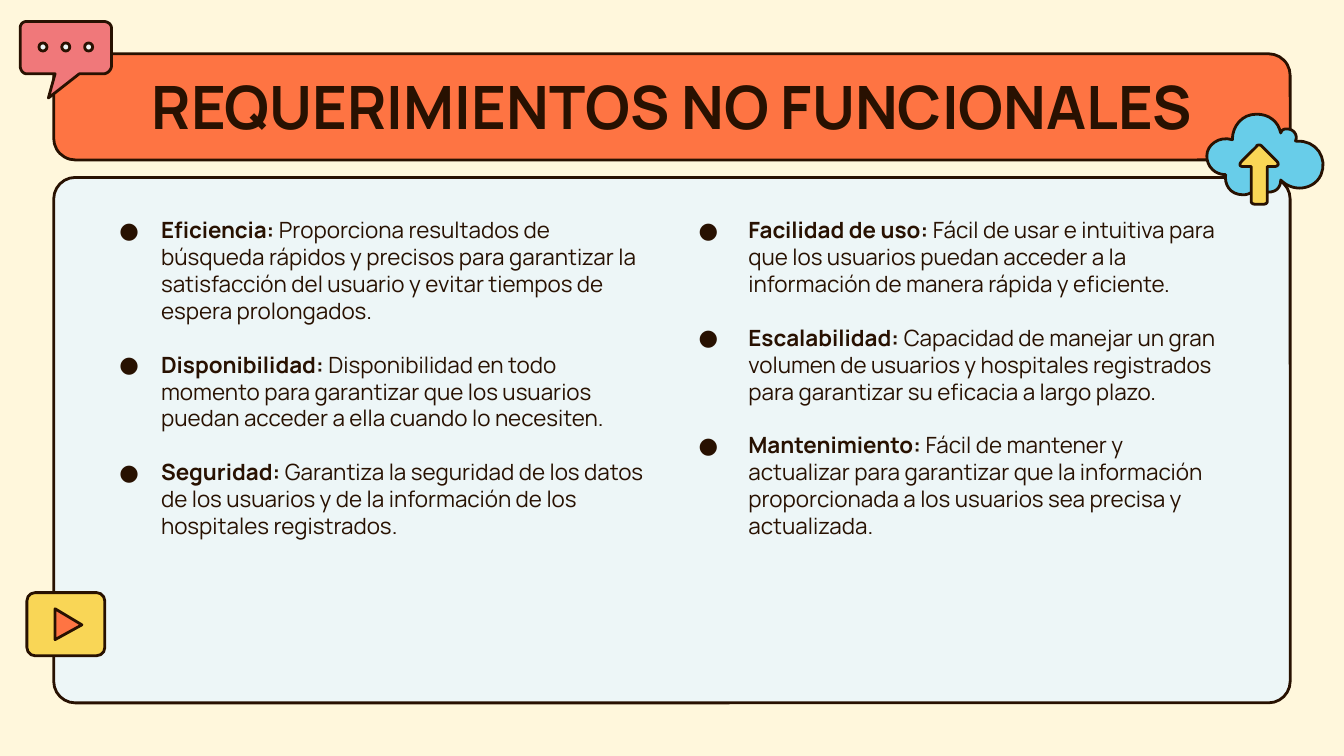
from lxml import etree
from pptx import Presentation
from pptx import util as u
from pptx.dml.color import RGBColor
from pptx.enum import shapes, text
from pptx.oxml.ns import qn


class Theme:
    font = "Manrope"
    ink = RGBColor.from_string("281101")
    cream = RGBColor.from_string("FFF7DC")
    ice = RGBColor.from_string("EDF6F7")
    orange = RGBColor.from_string("FE7443")
    blue = RGBColor.from_string("68CDE9")
    yellow = RGBColor.from_string("F9D656")
    pink = RGBColor.from_string("F0787A")
    title_size, title_leading = u.Pt(32), u.Pt(38.4)
    body_size, body_leading = u.Pt(12), u.Pt(14.4)
    outline = u.Pt(1.5)


def paint(shape, color):
    shape.shadow.inherit = False
    shape.fill.solid()
    shape.fill.fore_color.rgb = color
    shape.line.color.rgb = Theme.ink
    shape.line.width = Theme.outline


def add_outline(start, segments, color, steps=8):
    """Draw a closed outline; two numbers are a line, six a Bézier curve."""
    points = [start]
    for segment in segments:
        if len(segment) == 2:
            points.append(segment)
            continue
        x0, y0 = points[-1]
        x1, y1, x2, y2, x3, y3 = segment
        for step in range(1, steps + 1):
            t = step / steps
            a, b, c, d = (1 - t) ** 3, 3 * t * (1 - t) ** 2, 3 * t * t * (1 - t), t ** 3
            points.append((a * x0 + b * x1 + c * x2 + d * x3,
                           a * y0 + b * y1 + c * y2 + d * y3))
    corners = [(u.Inches(x), u.Inches(y)) for x, y in points]
    builder = slide.shapes.build_freeform(*corners[0])
    builder.add_line_segments(corners[1:], close=True)
    paint(builder.convert_to_shape(), color)


deck = Presentation()
deck.slide_width, deck.slide_height = u.Inches(10), u.Inches(10 * 9 / 16)
slide = deck.slides.add_slide(deck.slide_layouts[5])
slide.background.fill.solid()
slide.background.fill.fore_color.rgb = Theme.cream

# Panel and title banner
for top, height, radius, color in ((1.32, 3.91, 0.041, Theme.ice),
                                   (0.4, 0.79, 0.204, Theme.orange)):
    frame = slide.shapes.add_shape(
        shapes.MSO_SHAPE.ROUNDED_RECTANGLE,
        u.Inches(0.4), u.Inches(top), u.Inches(9.2), u.Inches(height))
    frame.adjustments[0] = radius
    paint(frame, color)

# Title, brought in front of the banner
title = slide.shapes.title
title.left, title.top = u.Inches(0.79), u.Inches(0.42)
title.width, title.height = u.Inches(8.43), u.Inches(0.65)
frame.element.addnext(title.element)
title_text = title.text_frame
title_text.auto_size = text.MSO_AUTO_SIZE.NONE
title_text.vertical_anchor = text.MSO_ANCHOR.TOP
title_text.margin_left = title_text.margin_right = u.Inches(0.1)
title_text.margin_top = title_text.margin_bottom = u.Inches(0.1)
para = title_text.paragraphs[0]
para.alignment = text.PP_ALIGN.CENTER
para.line_spacing = Theme.title_leading
span = para.add_run()
span.text = "REQUERIMIENTOS NO FUNCIONALES"
span.font.name, span.font.size, span.font.bold = Theme.font, Theme.title_size, True
span.font.color.rgb = Theme.ink

# Two columns of requirements: left edge, hanging indent, items
columns = (
    (0.79, 0.31, (
        ("Eficiencia: ", "Proporciona resultados de búsqueda rápidos y precisos para "
         "garantizar la satisfacción del usuario y evitar tiempos de espera prolongados."),
        ("Disponibilidad: ", "Disponibilidad en todo momento para garantizar que los "
         "usuarios puedan acceder a ella cuando lo necesiten."),
        ("Seguridad: ", "Garantiza la seguridad de los datos de los usuarios y de la "
         "información de los hospitales registrados."),
    )),
    (5.1, 0.37, (
        ("Facilidad de uso: ", "Fácil de usar e intuitiva para que los usuarios puedan "
         "acceder a la información de manera rápida y eficiente."),
        ("Escalabilidad: ", "Capacidad de manejar un gran volumen de usuarios y hospitales "
         "registrados para garantizar su eficacia a largo plazo."),
        ("Mantenimiento: ", "Fácil de mantener y actualizar para garantizar que la "
         "información proporcionada a los usuarios sea precisa y actualizada."),
    )),
)
for left, indent, items in columns:
    box = slide.shapes.add_textbox(
        u.Inches(left), u.Inches(1.51), u.Inches(4.12), u.Inches(3.38))
    body = box.text_frame
    body.word_wrap = True
    body.margin_left = body.margin_right = u.Inches(0.1)
    body.margin_top = body.margin_bottom = u.Inches(0.1)
    for index, item in enumerate(items):
        para = body.add_paragraph() if index else body.paragraphs[0]
        para.line_spacing = para.space_after = Theme.body_leading
        props = para._p.get_or_add_pPr()
        props.set("marL", str(u.Inches(indent)))
        props.set("indent", str(-u.Inches(indent)))
        bullet_color = etree.SubElement(props, qn("a:buClr"))
        etree.SubElement(bullet_color, qn("a:srgbClr"), val=str(Theme.ink))
        etree.SubElement(props, qn("a:buFont"), typeface=Theme.font)
        etree.SubElement(props, qn("a:buChar"), char="●")
        for words, bold in zip(item, (True, False)):
            span = para.add_run()
            span.text = words
            span.font.name, span.font.size, span.font.bold = Theme.font, Theme.body_size, bold
            span.font.color.rgb = Theme.ink

# Cloud with upload arrow
add_outline((9.35, 0.85), (
    (9.24, 0.85, 9.17, 0.94, 9.17, 1.04),
    (9.07, 1.01, 8.98, 1.08, 8.98, 1.16),
    (8.98, 1.24, 9.04, 1.3, 9.12, 1.3),
    (9.11, 1.37, 9.15, 1.45, 9.25, 1.45),
    (9.3, 1.45, 9.34, 1.42, 9.36, 1.37),
    (9.38, 1.41, 9.41, 1.43, 9.44, 1.43),
    (9.49, 1.43, 9.53, 1.4, 9.53, 1.34),
    (9.57, 1.38, 9.62, 1.4, 9.67, 1.4),
    (9.73, 1.4, 9.8, 1.37, 9.83, 1.3),
    (9.88, 1.18, 9.8, 1.04, 9.64, 1.05),
    (9.66, 1, 9.62, 0.96, 9.58, 0.96),
    (9.56, 0.96, 9.54, 0.96, 9.53, 0.99),
    (9.51, 0.9, 9.44, 0.85, 9.35, 0.85),
), Theme.blue)
add_outline((9.37, 1.08), (
    (9.36, 1.08, 9.35, 1.08, 9.35, 1.09), (9.24, 1.2),
    (9.22, 1.22, 9.22, 1.24, 9.25, 1.24), (9.31, 1.24), (9.31, 1.5),
    (9.31, 1.51, 9.32, 1.52, 9.34, 1.52), (9.4, 1.52),
    (9.42, 1.52, 9.43, 1.51, 9.43, 1.5), (9.43, 1.24), (9.48, 1.24),
    (9.51, 1.24, 9.52, 1.22, 9.5, 1.2), (9.39, 1.09),
    (9.38, 1.08, 9.38, 1.08, 9.37, 1.08),
), Theme.yellow)

# Speech bubble with three dots
add_outline((0.2, 0.16), (
    (0.17, 0.16, 0.15, 0.18, 0.15, 0.21), (0.15, 0.49),
    (0.15, 0.52, 0.17, 0.55, 0.2, 0.55), (0.41, 0.55), (0.36, 0.73),
    (0.59, 0.55), (0.77, 0.55),
    (0.8, 0.55, 0.83, 0.52, 0.83, 0.49), (0.83, 0.21),
    (0.83, 0.18, 0.8, 0.16, 0.77, 0.16),
), Theme.pink)
for index in range(3):
    dot = slide.shapes.add_shape(
        shapes.MSO_SHAPE.OVAL, u.Inches(0.29 + 0.17 * index), u.Inches(0.32),
        u.Inches(0.06), u.Inches(0.06))
    paint(dot, Theme.ice)

# Play button
button = slide.shapes.add_shape(
    shapes.MSO_SHAPE.ROUNDED_RECTANGLE,
    u.Inches(0.2), u.Inches(4.41), u.Inches(0.58), u.Inches(0.47))
button.adjustments[0] = 0.13
paint(button, Theme.yellow)
add_outline((0.41, 4.53), ((0.41, 4.76), (0.61, 4.65)), Theme.orange)

deck.save("out.pptx")
